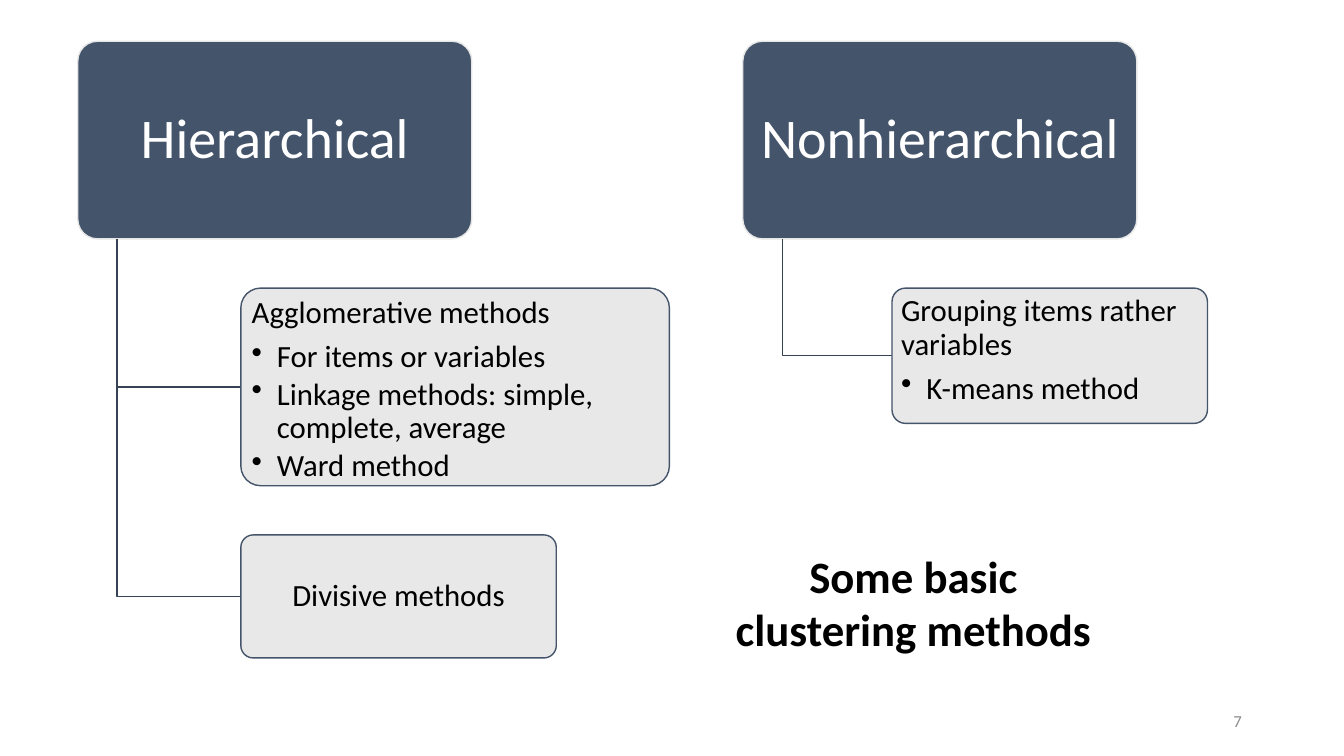
"""Builds a slide that charts basic clustering methods in two branches."""
from dataclasses import dataclass

from lxml import etree
from pptx import Presentation
from pptx.dml.color import RGBColor
from pptx.enum.shapes import MSO_SHAPE
from pptx.enum.text import MSO_ANCHOR, MSO_AUTO_SIZE, PP_ALIGN
from pptx.oxml.ns import qn
from pptx.util import Cm, Pt

ROUNDED = MSO_SHAPE.ROUNDED_RECTANGLE
TOP, MIDDLE = MSO_ANCHOR.TOP, MSO_ANCHOR.MIDDLE
LEFT, CENTER, RIGHT = PP_ALIGN.LEFT, PP_ALIGN.CENTER, PP_ALIGN.RIGHT
NO_AUTOSIZE = MSO_AUTO_SIZE.NONE

SLATE = RGBColor(0x44, 0x54, 0x6A)
DARK_SLATE = RGBColor(0x36, 0x43, 0x55)
PALE = RGBColor(0xE7, 0xE6, 0xE6)
GRAY = RGBColor(0x8C, 0x8C, 0x8C)
BLACK = RGBColor(0, 0, 0)
WHITE = RGBColor(0xFF, 0xFF, 0xFF)

HEAD_TOP, HEAD_WIDTH, HEAD_HEIGHT = 1.04, 9.93, 4.98
GAP = 1.24
HEAD_FORMAT = {"size": Pt(40), "color": WHITE}
METHOD_FORMAT = {"size": Pt(22), "color": BLACK}


@dataclass
class Method:
    """A method box, with lengths in centimetres."""
    text: str
    width: float
    height: float
    bullets: tuple[str, ...] = ()


@dataclass
class Branch:
    """A heading and the methods below it."""
    heading: str
    left: float
    method_left: float
    methods: tuple[Method, ...]


BRANCHES = (
    Branch("Hierarchical", 1.96, 6.07, (
        Method("Agglomerative methods", 10.8, 4.98, (
            "For items or variables",
            "Linkage methods: simple, complete, average",
            "Ward method")),
        Method("Divisive methods", 7.95, 3.1))),
    Branch("Nonhierarchical", 18.72, 22.48, (
        Method("Grouping items rather variables", 7.95, 3.41,
               ("K-means method",)),)),
)


def write(p, text: str, size, color: RGBColor, bold: bool = False) -> None:
    """Add one formatted run to a paragraph."""
    r = p.add_run()
    r.text = text
    for name, value in {"name": "Calibri", "size": size, "bold": bold}.items():
        setattr(r.font, name, value)
    r.font.color.rgb = color


def add_bullet(p) -> None:
    """Give a paragraph a hanging bullet."""
    pPr = p._p.get_or_add_pPr()
    pPr.set("marL", str(Cm(0.635)))
    pPr.set("indent", str(-Cm(0.635)))
    etree.SubElement(pPr, qn("a:buChar")).set("char", "•")


def add_box(s, left: float, top: float, width: float, height: float,
            fill: RGBColor, line: RGBColor):
    """Add a rounded box."""
    sp = s.shapes.add_shape(ROUNDED, Cm(left), Cm(top), Cm(width), Cm(height))
    sp.adjustments[0] = 0.1
    sp.shadow.inherit = False
    sp.fill.solid()
    sp.fill.fore_color.rgb = fill
    sp.line.color.rgb = line
    sp.line.width = Pt(1)
    return sp


def fill_text(sp, lines: tuple[str, ...], anchor, align, inset: tuple[float, float],
              font: dict) -> None:
    """Write a lead line and its bullets into a box."""
    tf = sp.text_frame
    across, down = map(Cm, inset)
    frame = {"word_wrap": True, "vertical_anchor": anchor,
             "margin_left": across, "margin_right": across,
             "margin_top": down, "margin_bottom": down}
    for name, value in frame.items():
        setattr(tf, name, value)
    for i, text in enumerate(lines):
        p = tf.add_paragraph() if i else tf.paragraphs[0]
        share = 0.15 if i else 0.35
        p.alignment = align
        p.line_spacing = 0.9
        p.space_after = Pt(font["size"].pt * share)
        if i:
            add_bullet(p)
        write(p, text, **font)


def add_elbow(s, x: float, y: float, end_x: float, end_y: float) -> None:
    """Draw a line down from a heading and across to a method."""
    builder = s.shapes.build_freeform(Cm(x), Cm(y))
    builder.add_line_segments(
        [(Cm(x), Cm(end_y)), (Cm(end_x), Cm(end_y))], close=False)
    sp = builder.convert_to_shape()
    sp.shadow.inherit = False
    sp.fill.background()
    sp.line.color.rgb = DARK_SLATE
    sp.line.width = Pt(1)


def add_method(s, method: Method, left: float, top: float) -> None:
    """Add a method box with a slightly transparent fill."""
    sp = add_box(s, left, top, method.width, method.height, PALE, SLATE)
    color = sp._element.spPr.find(qn("a:solidFill"))[0]
    etree.SubElement(color, qn("a:alpha")).set("val", "90000")
    anchor, align = (TOP, LEFT) if method.bullets else (MIDDLE, CENTER)
    fill_text(sp, (method.text, *method.bullets), anchor, align,
              (0.13, 0.08), METHOD_FORMAT)


def add_branch(s, branch: Branch) -> None:
    """Add a heading, its methods and the lines between them."""
    sp = add_box(s, branch.left, HEAD_TOP, HEAD_WIDTH, HEAD_HEIGHT, SLATE, PALE)
    fill_text(sp, (branch.heading,), MIDDLE, CENTER, (0.2, 0.15), HEAD_FORMAT)
    trunk = branch.left + HEAD_WIDTH / 10
    bottom = HEAD_TOP + HEAD_HEIGHT
    top = bottom + GAP
    for method in branch.methods:
        add_elbow(s, trunk, bottom, branch.method_left, top + method.height / 2)
        add_method(s, method, branch.method_left, top)
        top += method.height + GAP


def add_title(s) -> None:
    """Place and format the title."""
    sp = s.shapes.title
    place = {"left": Cm(18.03), "top": Cm(13.69),
             "width": Cm(9.98), "height": Cm(3)}
    for name, value in place.items():
        setattr(sp, name, value)
    tf = sp.text_frame
    tf.word_wrap = True
    tf.auto_size = NO_AUTOSIZE
    tf.vertical_anchor = TOP
    p = tf.paragraphs[0]
    p.alignment = CENTER
    write(p, "Some basic clustering methods", Pt(32), BLACK, True)


def add_page_number(s) -> None:
    """Add the page number."""
    sp = s.shapes.add_textbox(Cm(23.93), Cm(17.65), Cm(7.62), Cm(1.02))
    tf = sp.text_frame
    tf.word_wrap = True
    tf.vertical_anchor = MIDDLE
    p = tf.paragraphs[0]
    p.alignment = RIGHT
    write(p, "7", Pt(12), GRAY)


def main() -> None:
    """Build and save the slide."""
    prs = Presentation()
    prs.slide_width, prs.slide_height = Cm(33.87), Cm(19.05)
    s = prs.slides.add_slide(prs.slide_layouts[5])
    add_title(s)
    for branch in BRANCHES:
        add_branch(s, branch)
    add_page_number(s)
    prs.save("out.pptx")


if __name__ == "__main__":
    main()
